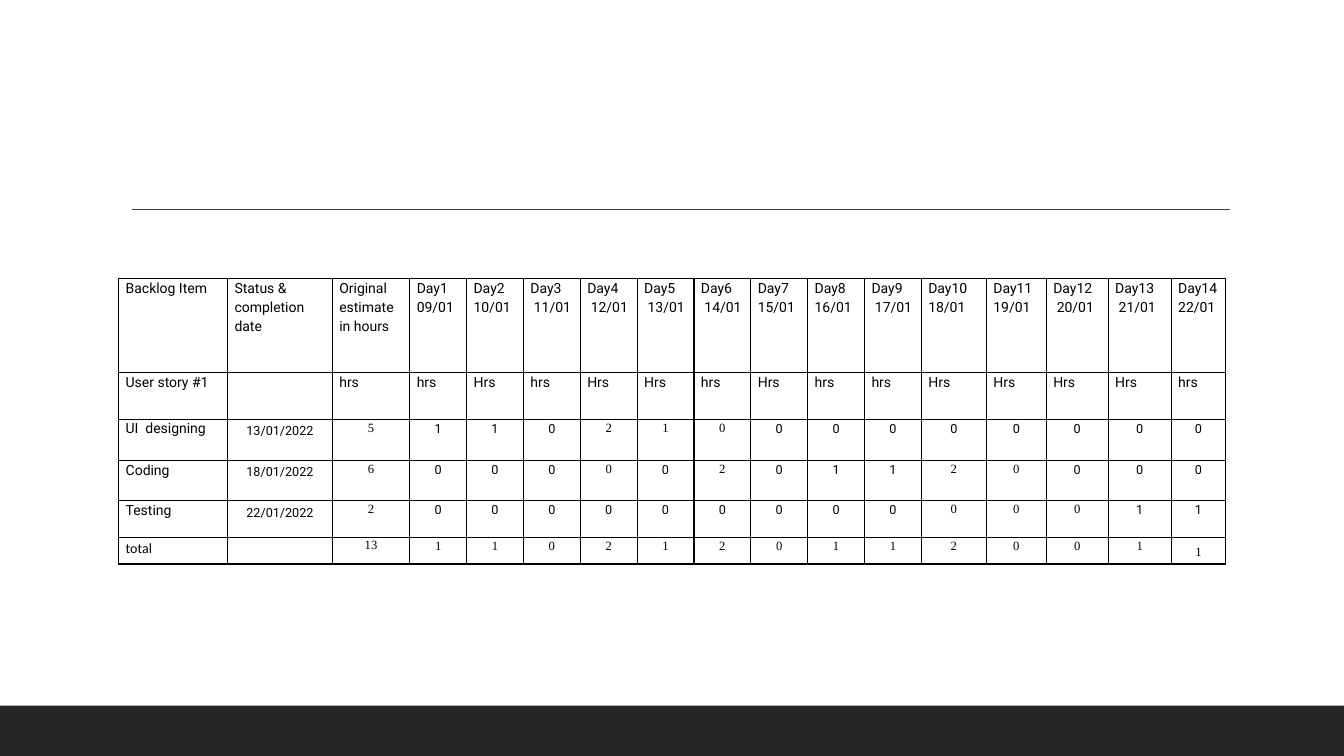
import dataclasses

import lxml.etree
import pptx
import pptx.dml.color
import pptx.enum.shapes
import pptx.enum.text
import pptx.oxml.ns
import pptx.presentation
import pptx.slide
import pptx.table
import pptx.util

COLOURS = {"ink": "000000", "rule": "404040", "footer": "262626"}
SANS, SERIF, TOTAL_FONT = "Roboto", "Times New Roman", "Calibri"
SLIDE_WIDTH = pptx.util.Inches(13.33)
SLIDE_HEIGHT = pptx.util.Inches(7.5)

# Percentages of the slide's width and height
COLUMN_SHARES = [8.1, 7.8, 5.76] + [4.23] * 9 + [4.84, 4.46, 4.61, 4.69, 4.06]
ROW_SHARES = [12.45, 6.2, 5.42, 5.35, 4.9, 3.5]

DAYS = range(1, 15)
INDENTED_DATES = {3, 4, 5, 6, 9, 12, 13}
CAPITAL_HOURS = {2, 4, 5, 7, 10, 11, 12, 13}


@dataclasses.dataclass(frozen=True)
class Style:
    size: float = 10
    font: str = SANS
    centred: bool = False
    spacing: float = 1.15
    after: float = 0
    side: float = 0.07
    edge: float = 0
    middle: bool = False


@dataclasses.dataclass(frozen=True)
class Entry:
    text: str
    style: Style = Style()


@dataclasses.dataclass(frozen=True)
class Task:
    """A backlog row; hours start with the estimate, serif lists indexes into them."""
    name: str
    finished: str
    hours: list[int]
    serif: set[int]
    name_style: Style = Style()


DATE = Style(size=9, centred=True, spacing=1, side=0.1, edge=0.05)
HOURS = Style(size=9, centred=True, side=0.06)
TOTAL_ESTIMATE = dataclasses.replace(HOURS, font=SERIF, spacing=1.07, after=8, side=0.07)
LAST_TOTAL = dataclasses.replace(HOURS, font=SERIF, after=10, side=0, middle=True)

TASKS = [
    Task("UI  designing", "13/01/2022", [5, 1, 1, 0, 2, 1, 0, 0, 0, 0, 0, 0, 0, 0, 0],
         {0, 4, 5, 6}, Style(spacing=1.07, after=8)),
    Task("Coding", "18/01/2022", [6, 0, 0, 0, 0, 0, 2, 0, 1, 1, 2, 0, 0, 0, 0],
         {0, 4, 6, 10, 11}),
    Task("Testing", "22/01/2022", [2, 0, 0, 0, 0, 0, 0, 0, 0, 0, 0, 0, 0, 1, 1],
         {0, 10, 11, 12}),
]


def across(percent: float) -> int:
    return round(SLIDE_WIDTH * percent / 100)


def down(percent: float) -> int:
    return round(SLIDE_HEIGHT * percent / 100)


def rgb(name: str) -> pptx.dml.color.RGBColor:
    return pptx.dml.color.RGBColor.from_string(COLOURS[name])


def task_row(task: Task) -> list[Entry]:
    hours = [
        Entry(str(value), dataclasses.replace(HOURS, font=SERIF if i in task.serif else SANS))
        for i, value in enumerate(task.hours)
    ]
    return [Entry(task.name, task.name_style), Entry(task.finished, DATE)] + hours


def total_row() -> list[Entry]:
    estimate, *daily = [sum(values) for values in zip(*(task.hours for task in TASKS))]
    serif = dataclasses.replace(HOURS, font=SERIF)
    return [
        Entry("total", Style(font=TOTAL_FONT)),
        Entry(""),
        Entry(str(estimate), TOTAL_ESTIMATE),
        *(Entry(str(value), serif) for value in daily[:-1]),
        Entry(str(daily[-1]), LAST_TOTAL),
    ]


def backlog_rows() -> list[list[Entry]]:
    headings = ["Backlog Item", "Status & completion date", "Original estimate in hours"]
    for day in DAYS:
        indent = " " if day in INDENTED_DATES else ""
        headings.append(f"Day{day}\n{indent}{day + 8:02}/01")
    units = ["User story #1", "", "hrs"]
    units += ["Hrs" if day in CAPITAL_HOURS else "hrs" for day in DAYS]
    return [
        [Entry(text) for text in headings],
        [Entry(text) for text in units],
        *(task_row(task) for task in TASKS),
        total_row(),
    ]


def add_borders(cell: pptx.table._Cell) -> None:
    properties = cell._tc.get_or_add_tcPr()
    qn = pptx.oxml.ns.qn
    for side in ("a:lnL", "a:lnR", "a:lnT", "a:lnB"):
        line = lxml.etree.SubElement(properties, qn(side), w=str(pptx.util.Pt(1)))
        fill = lxml.etree.SubElement(line, qn("a:solidFill"))
        lxml.etree.SubElement(fill, qn("a:srgbClr"), val=COLOURS["ink"])


def fill_cell(cell: pptx.table._Cell, entry: Entry) -> None:
    style = entry.style
    add_borders(cell)
    cell.fill.background()
    cell.margin_left = cell.margin_right = pptx.util.Inches(style.side)
    cell.margin_top = cell.margin_bottom = pptx.util.Inches(style.edge)
    anchors = pptx.enum.text.MSO_ANCHOR
    cell.vertical_anchor = anchors.MIDDLE if style.middle else anchors.TOP
    cell.text_frame.text = entry.text
    alignments = pptx.enum.text.PP_ALIGN
    for paragraph in cell.text_frame.paragraphs:
        paragraph.alignment = alignments.CENTER if style.centred else alignments.LEFT
        paragraph.line_spacing = style.spacing
        paragraph.space_after = pptx.util.Pt(style.after)
        for run in paragraph.runs:
            run.font.size = pptx.util.Pt(style.size)
            run.font.name = style.font
            run.font.color.rgb = rgb("ink")
        if not paragraph.runs:
            # Keeps the empty cell from stretching its row
            lxml.etree.SubElement(paragraph._p, pptx.oxml.ns.qn("a:endParaRPr"),
                                  sz=str(round(style.size * 100)))


def add_footer(slide: pptx.slide.Slide) -> None:
    footer = slide.shapes.add_shape(pptx.enum.shapes.MSO_SHAPE.RECTANGLE,
                                    0, down(93.33), SLIDE_WIDTH, down(6.67))
    footer.shadow.inherit = False
    footer.fill.solid()
    footer.fill.fore_color.rgb = rgb("footer")
    footer.line.fill.background()


def add_title_rule(slide: pptx.slide.Slide) -> None:
    height = down(27.7)
    rule = slide.shapes.add_connector(pptx.enum.shapes.MSO_CONNECTOR.STRAIGHT,
                                      across(9.82), height, across(91.55), height)
    rule.line.color.rgb = rgb("rule")
    rule.line.width = pptx.util.Pt(1)
    lxml.etree.SubElement(rule._element.spPr, pptx.oxml.ns.qn("a:effectLst"))


def add_backlog(slide: pptx.slide.Slide) -> None:
    backlog = slide.shapes.add_table(
        len(ROW_SHARES), len(COLUMN_SHARES), across(8.83), down(36.8),
        across(sum(COLUMN_SHARES)), down(sum(ROW_SHARES))).table
    backlog.first_row = backlog.horz_banding = False
    for column, share in zip(backlog.columns, COLUMN_SHARES):
        column.width = across(share)
    for row, share, entries in zip(backlog.rows, ROW_SHARES, backlog_rows()):
        row.height = down(share)
        for cell, entry in zip(row.cells, entries):
            fill_cell(cell, entry)


def main() -> None:
    deck = pptx.Presentation()
    deck.slide_width, deck.slide_height = SLIDE_WIDTH, SLIDE_HEIGHT
    slide = deck.slides.add_slide(deck.slide_layouts[6])
    add_footer(slide)
    add_title_rule(slide)
    add_backlog(slide)
    deck.save("out.pptx")


if __name__ == "__main__":
    main()
